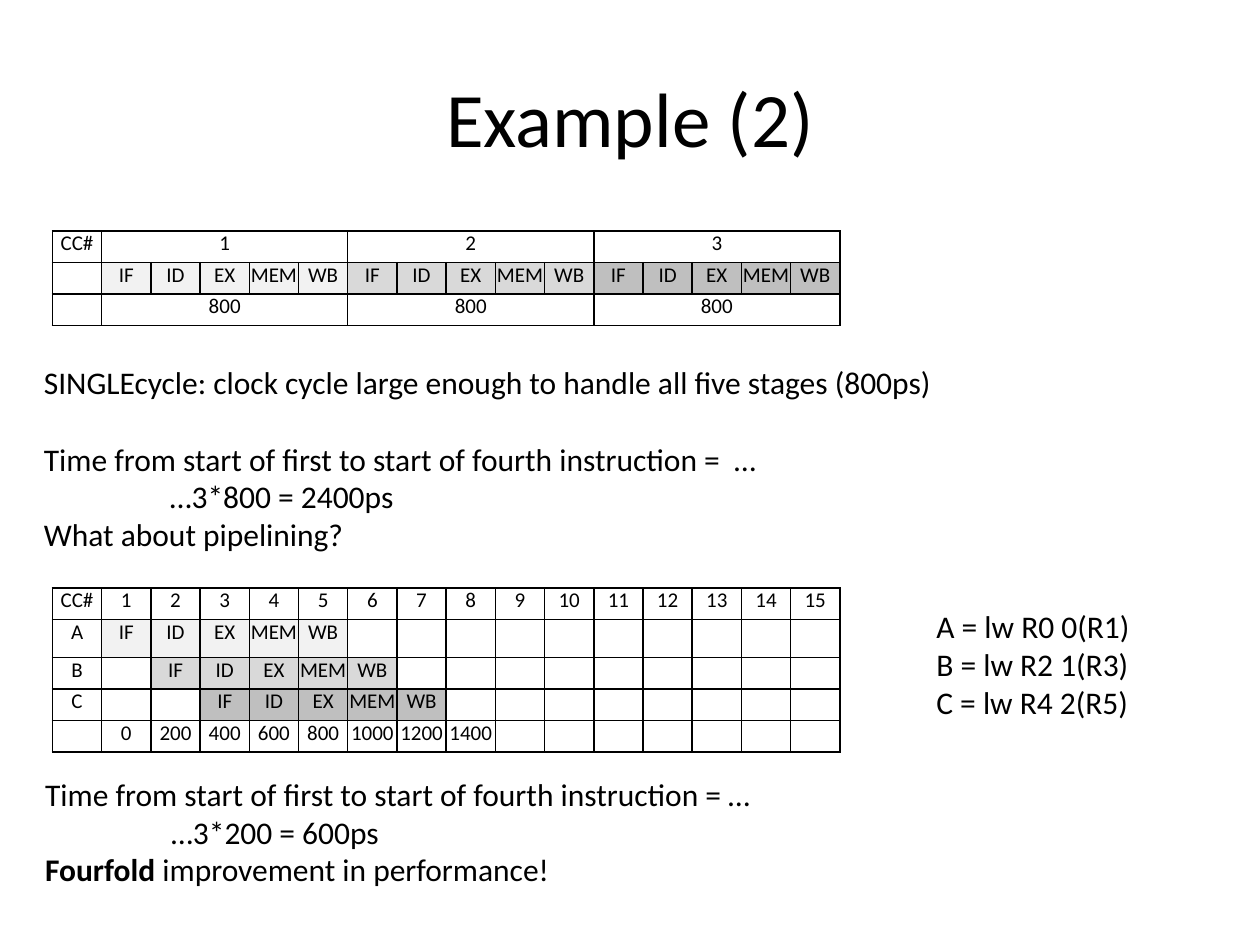
from dataclasses import dataclass
from typing import NamedTuple

from lxml.etree import SubElement
from pptx import Presentation
from pptx.dml.color import RGBColor as RGB
from pptx.enum.text import MSO_ANCHOR as Anchor
from pptx.enum.text import MSO_AUTO_SIZE as AutoSize
from pptx.enum.text import PP_ALIGN as Align
from pptx.oxml.ns import qn
from pptx.util import Pt


@dataclass(frozen=True)
class Theme:
    font: str = "Calibri"
    ink: str = "000000"
    title: int = 44
    body: int = 18
    cell: int = 12
    border: float = 1
    shades: tuple = ("F2F2F2", "D9D9D9", "BFBFBF")  # one per instruction


class Box(NamedTuple):
    left: float
    top: float
    width: float
    height: float


class Line(NamedTuple):
    text: str
    bold: str = ""  # bold lead-in before the text
    indent: float = 0
    before: float = 0


class Cell(NamedTuple):
    row: int
    col: int
    text: str
    fill: str = ""
    span: int = 1


@dataclass(frozen=True)
class Grid:
    left: float
    top: float
    rows: tuple
    cells: list


@dataclass(frozen=True)
class Note:
    box: Box
    lines: tuple
    wrap: bool = True


THEME = Theme()
STAGES = ("IF", "ID", "EX", "MEM", "WB")
N = len(STAGES)
COLS = 1 + 3 * N
COL_W, ROW_H = 28.12, 18
INDENT = 72


def stages(row: int, col: int, fill: str) -> list[Cell]:
    """The five pipeline stages of one instruction, side by side."""
    return [Cell(row, col + i, stage, fill) for i, stage in enumerate(STAGES)]


def single_cycle_cells() -> list[Cell]:
    cells = [Cell(0, 0, "CC#")]
    for i, shade in enumerate(THEME.shades):
        col = 1 + i * N
        cells += [Cell(0, col, str(i + 1), span=N), Cell(2, col, "800", span=N)]
        cells += stages(1, col, shade)
    return cells


def pipelined_cells() -> list[Cell]:
    cells = [Cell(0, 0, "CC#")]
    cells += [Cell(0, c, str(c)) for c in range(1, COLS)]
    for i, (name, shade) in enumerate(zip("ABC", THEME.shades), start=1):
        cells += [Cell(i, 0, name)] + stages(i, i, shade)
    return cells + [Cell(4, c + 1, str(200 * c)) for c in range(8)]


GRIDS = (
    Grid(30, 132, (ROW_H,) * 3, single_cycle_cells()),
    Grid(30, 336, (ROW_H, 21.6, ROW_H, ROW_H, ROW_H), pipelined_cells()),
)

NOTES = (
    Note(Box(18, 204, 684, 116.6), (
        Line("SINGLEcycle: clock cycle large enough to handle all five stages (800ps)"),
        Line("Time from start of first to start of fourth instruction =  …", before=22),
        Line("…3*800 = 2400ps", indent=INDENT),
        Line("What about pipelining?"),
    )),
    Note(Box(528, 343.5, 126.7, 72.7), (
        Line("A = lw R0 0(R1)"),
        Line("B = lw R2 1(R3)"),
        Line("C = lw R4 2(R5)"),
    ), wrap=False),
    Note(Box(18.7, 439.2, 455, 72.7), (
        Line("Time from start of first to start of fourth instruction = …"),
        Line("…3*200 = 600ps", indent=INDENT),
        Line(" improvement in performance!", bold="Fourfold"),
    )),
)


def set_all(obj, values: dict) -> None:
    for name, value in values.items():
        setattr(obj, name, value)


def add_run(p, text: str, size: float, bold: bool = False) -> None:
    r = p.add_run()
    r.text = text
    set_all(r.font, {"name": THEME.font, "size": Pt(size), "bold": bold})
    r.font.color.rgb = RGB.from_string(THEME.ink)


def add_title(s, text: str, box: Box) -> None:
    sp = s.shapes.title
    set_all(sp, {name: Pt(v) for name, v in box._asdict().items()})
    sp.text_frame.vertical_anchor = Anchor.MIDDLE
    p = sp.text_frame.paragraphs[0]
    p.alignment = Align.CENTER
    add_run(p, text, THEME.title)


def add_note(s, note: Note) -> None:
    tf = s.shapes.add_textbox(*map(Pt, note.box)).text_frame
    set_all(tf, {"word_wrap": note.wrap, "auto_size": AutoSize.SHAPE_TO_FIT_TEXT})
    for i, line in enumerate(note.lines):
        p = tf.add_paragraph() if i else tf.paragraphs[0]
        if line.before:
            p.space_before = Pt(line.before)
        if line.indent:
            p._p.get_or_add_pPr().set("marL", str(Pt(line.indent)))
        if line.bold:
            add_run(p, line.bold, THEME.body, bold=True)
        add_run(p, line.text, THEME.body)


def style_cell(cell) -> None:
    """Zero margins, thin borders, no fill, small text."""
    sides = ("left", "right", "top", "bottom")
    set_all(cell, {f"margin_{side}": 0 for side in sides})
    tc_pr = cell._tc.get_or_add_tcPr()
    for side in sides:
        ln = SubElement(tc_pr, qn(f"a:ln{side[0].upper()}"), w=str(Pt(THEME.border)))
        SubElement(SubElement(ln, qn("a:solidFill")), qn("a:srgbClr"), val=THEME.ink)
    cell.fill.background()
    # Keeps empty cells from stretching their row
    p = cell.text_frame.paragraphs[0]
    SubElement(p._p, qn("a:endParaRPr"), sz=str(THEME.cell * 100))


def add_grid(s, grid: Grid) -> None:
    frame = s.shapes.add_table(len(grid.rows), COLS, Pt(grid.left), Pt(grid.top),
                               Pt(COL_W * COLS), Pt(sum(grid.rows)))
    table = frame.table
    set_all(table, {"first_row": False, "horz_banding": False})
    for col in table.columns:
        col.width = Pt(COL_W)
    for row, height in zip(table.rows, grid.rows):
        row.height = Pt(height)
    for cell in table.iter_cells():
        style_cell(cell)
    for item in grid.cells:
        cell = table.cell(item.row, item.col)
        if item.span > 1:
            cell.merge(table.cell(item.row, item.col + item.span - 1))
        if item.fill:
            cell.fill.solid()
            cell.fill.fore_color.rgb = RGB.from_string(item.fill)
        p = cell.text_frame.paragraphs[0]
        p.alignment = Align.CENTER
        add_run(p, item.text, THEME.cell)


def main() -> None:
    prs = Presentation()
    set_all(prs, {"slide_width": Pt(720), "slide_height": Pt(540)})
    s = prs.slides.add_slide(prs.slide_layouts[5])  # title only

    add_title(s, "Example (2)", Box(36, 21.6, 648, 90))
    for grid in GRIDS:
        add_grid(s, grid)
    for note in NOTES:
        add_note(s, note)
    prs.save("out.pptx")


if __name__ == "__main__":
    main()
